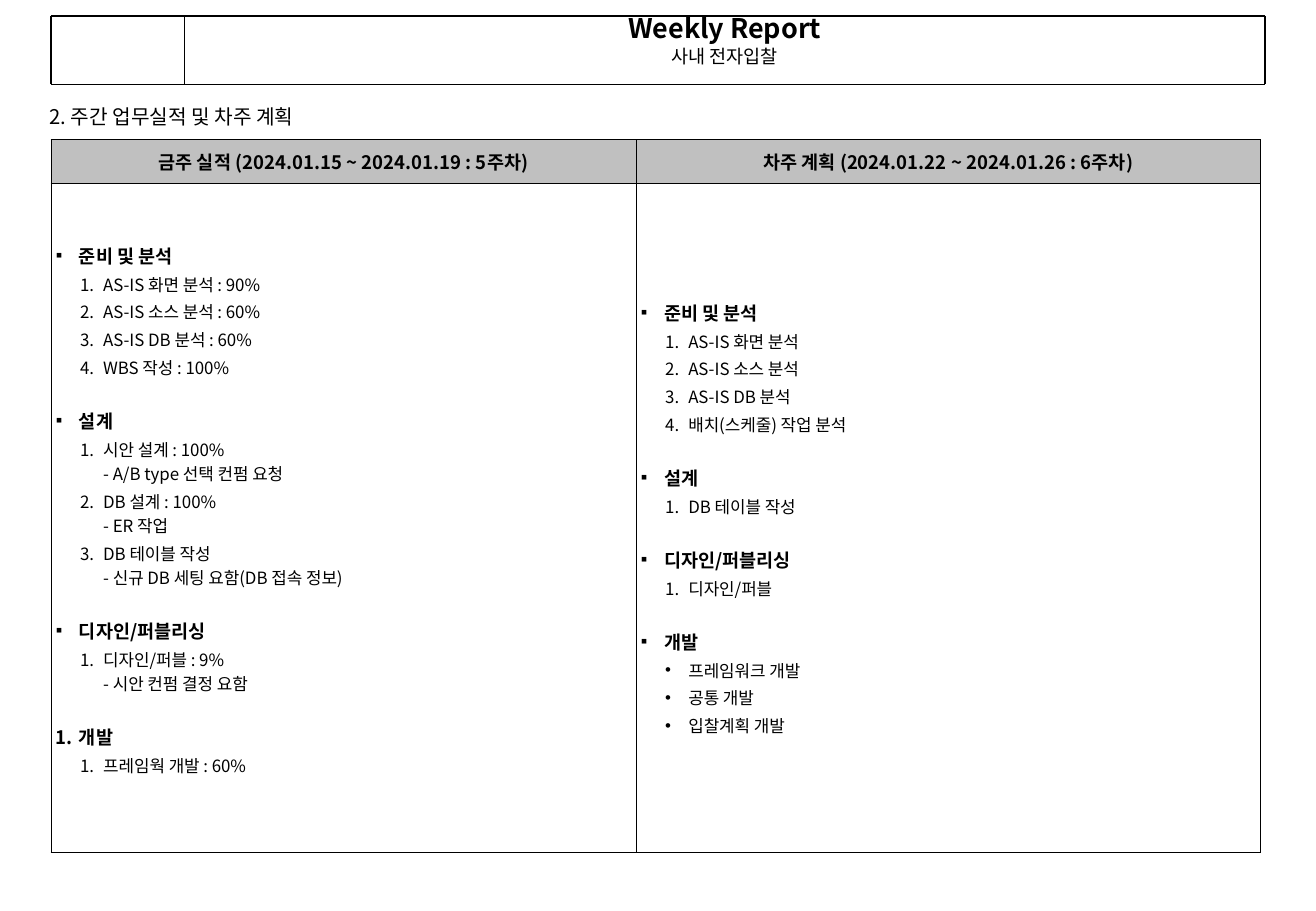
import copy
from dataclasses import dataclass

import pptx
import pptx.dml.color
import pptx.enum.shapes
import pptx.enum.text
import pptx.oxml.ns
import pptx.util
from lxml import etree

Inches = pptx.util.Inches
Pt = pptx.util.Pt
qn = pptx.oxml.ns.qn


@dataclass(frozen=True)
class Theme:
    font: str = "Noto Sans CJK KR"
    ink: str = "000000"
    header_fill: str = "C0C0C0"
    title: float = 16
    section: float = 12
    heading: float = 11
    item: float = 10
    thick: float = 1.5
    thin: float = 0.25
    border: float = 0.45
    outer_border: float = 0.75


THEME = Theme()

THIS_WEEK = [
    ("준비 및 분석", "▪", "1.", [
        "AS-IS 화면 분석 : 90%",
        "AS-IS 소스 분석 : 60%",
        "AS-IS DB 분석 : 60%",
        "WBS 작성 : 100%",
    ]),
    ("설계", "▪", "1.", [
        "시안 설계 : 100%\n- A/B type 선택 컨펌 요청",
        "DB 설계 : 100%\n- ER 작업",
        "DB 테이블 작성\n- 신규 DB 세팅 요함(DB 접속 정보)",
    ]),
    ("디자인/퍼블리싱", "▪", "1.", ["디자인/퍼블 : 9%\n- 시안 컨펌 결정 요함"]),
    ("개발", "1.", "1.", ["프레임웍 개발 : 60%"]),
]

NEXT_WEEK = [
    ("준비 및 분석", "▪", "1.", [
        "AS-IS 화면 분석",
        "AS-IS 소스 분석",
        "AS-IS DB 분석",
        "배치(스케줄) 작업 분석",
    ]),
    ("설계", "▪", "1.", ["DB 테이블 작성"]),
    ("디자인/퍼블리싱", "▪", "1.", ["디자인/퍼블"]),
    ("개발", "▪", "•", ["프레임워크 개발", "공통 개발", "입찰계획 개발"]),
]

COLUMNS = [
    ("금주 실적 (2024.01.15 ~ 2024.01.19 : 5주차)", THIS_WEEK, 0.19),
    ("차주 계획 (2024.01.22 ~ 2024.01.26 : 6주차)", NEXT_WEEK, 0.05),
]


def rgb(value):
    return pptx.dml.color.RGBColor.from_string(value)


def add_run(p, text, size, bold=False):
    r = p.add_run()
    r.text = text
    r.font.size = Pt(size)
    r.font.bold = bold
    r.font.name = THEME.font
    r.font.color.rgb = rgb(THEME.ink)
    etree.SubElement(r.font._element, qn("a:ea"), typeface=THEME.font)
    return r


def add_lines(p, text, size, bold=False):
    for i, line in enumerate(text.split("\n")):
        if i:
            p.add_line_break()
            p._p[-1].append(copy.deepcopy(r.font._element))
        r = add_run(p, line, size, bold)


def set_margins(box, side, top, bottom):
    box.margin_left = box.margin_right = Inches(side)
    box.margin_top = Inches(top)
    box.margin_bottom = Inches(bottom)


def set_bullet(p, mark, level):
    p.level = level
    pPr = p._p.get_or_add_pPr()
    pPr.set("marL", str(Inches(0.39 if level else 0.19)))
    pPr.set("indent", str(-Inches(0.19)))
    color = etree.SubElement(pPr, qn("a:buClr"))
    etree.SubElement(color, qn("a:srgbClr"), val=THEME.ink)
    if mark == "1.":
        etree.SubElement(pPr, qn("a:buFont"), typeface=THEME.font)
        etree.SubElement(pPr, qn("a:buAutoNum"), type="arabicPeriod")
    else:
        etree.SubElement(pPr, qn("a:buFont"), typeface="Arial")
        etree.SubElement(pPr, qn("a:buChar"), char=mark)


def add_line(s, x1, y1, x2, y2, width):
    line = s.shapes.add_connector(
        pptx.enum.shapes.MSO_CONNECTOR.STRAIGHT,
        Inches(x1), Inches(y1), Inches(x2), Inches(y2))
    line.line.color.rgb = rgb(THEME.ink)
    line.line.width = Pt(width)
    etree.SubElement(line._element.spPr, qn("a:effectLst"))


def set_borders(cell, **widths):
    tcPr = cell._tc.get_or_add_tcPr()
    for side in "LRTB":
        width = widths.get(side, THEME.border)
        ln = etree.SubElement(tcPr, qn("a:ln" + side), w=str(Pt(width)))
        fill = etree.SubElement(ln, qn("a:solidFill"))
        etree.SubElement(fill, qn("a:srgbClr"), val=THEME.ink)


def add_title(s):
    sp = s.shapes.title
    sp.left, sp.top, sp.width, sp.height = map(Inches, (1.52, 0.13, 8.9, 0.56))
    tf = sp.text_frame
    tf.word_wrap = True
    tf.auto_size = pptx.enum.text.MSO_AUTO_SIZE.NONE
    tf.vertical_anchor = pptx.enum.text.MSO_ANCHOR.TOP
    set_margins(tf, 0.1, 0.02, 0)
    title, subtitle = tf.paragraphs[0], tf.add_paragraph()
    for p in (title, subtitle):
        p.alignment = pptx.enum.text.PP_ALIGN.CENTER
        p.line_spacing = 0.8
        p.space_before = Pt(0)
    subtitle.space_before = Pt(2.8)
    add_run(title, "Weekly Report", THEME.title, True)
    add_run(subtitle, "사내 전자입찰", THEME.heading)


def add_title_frame(s):
    left, divider, right, top, bottom = 0.42, 1.52, 10.42, 0.13, 0.69
    for x, width in ((divider, THEME.thin), (left, THEME.thick), (right, THEME.thick)):
        add_line(s, x, top, x, bottom, width)
    for y, width in ((top, THEME.thick), (bottom, THEME.thin)):
        add_line(s, left, y, right, y, width)


def add_section_heading(s):
    sp = s.shapes.add_textbox(Inches(0.31), Inches(0.81), Inches(3.07), Inches(0.3))
    tf = sp.text_frame
    tf.word_wrap = True
    set_margins(tf, 0.1, 0.05, 0.05)
    add_run(tf.paragraphs[0], "2. 주간 업무실적 및 차주 계획", THEME.section)


def fill_header(cell, text):
    set_margins(cell, 0.02, 0.05, 0.05)
    cell.fill.solid()
    cell.fill.fore_color.rgb = rgb(THEME.header_fill)
    p = cell.text_frame.paragraphs[0]
    p.alignment = pptx.enum.text.PP_ALIGN.CENTER
    add_run(p, text, THEME.heading, True)


def fill_tasks(cell, groups, bottom):
    set_margins(cell, 0.04, 0.05, bottom)
    cell.fill.background()
    tf = cell.text_frame
    for i, (heading, heading_mark, item_mark, items) in enumerate(groups):
        p = tf.add_paragraph() if i else tf.paragraphs[0]
        p.space_before = Pt(15.3 if i else 0)
        p.space_after = Pt(1)
        set_bullet(p, heading_mark, 0)
        add_run(p, heading, THEME.heading, True)
        for item in items:
            p = tf.add_paragraph()
            p.space_before = p.space_after = Pt(1)
            set_bullet(p, item_mark, 1)
            add_lines(p, item, THEME.item)


def add_report_table(s):
    table = s.shapes.add_table(
        2, 2, Inches(0.42), Inches(1.15), Inches(9.96), Inches(5.87)).table
    table.first_row = table.horz_banding = False
    for column, width in zip(table.columns, (4.82, 5.14)):
        column.width = Inches(width)
    for row, height in zip(table.rows, (0.36, 5.51)):
        row.height = Inches(height)
    for i, (header, groups, bottom) in enumerate(COLUMNS):
        head, body = table.cell(0, i), table.cell(1, i)
        right = THEME.outer_border if i else THEME.border
        set_borders(head, T=THEME.outer_border, R=right)
        set_borders(body, R=right)
        for cell in (head, body):
            cell.vertical_anchor = pptx.enum.text.MSO_ANCHOR.MIDDLE
        fill_header(head, header)
        fill_tasks(body, groups, bottom)


def main():
    prs = pptx.Presentation()
    prs.slide_width, prs.slide_height = Inches(10.84), Inches(7.5)
    s = prs.slides.add_slide(prs.slide_layouts[5])
    add_title(s)
    add_title_frame(s)
    add_section_heading(s)
    add_report_table(s)
    prs.save("out.pptx")


if __name__ == "__main__":
    main()
